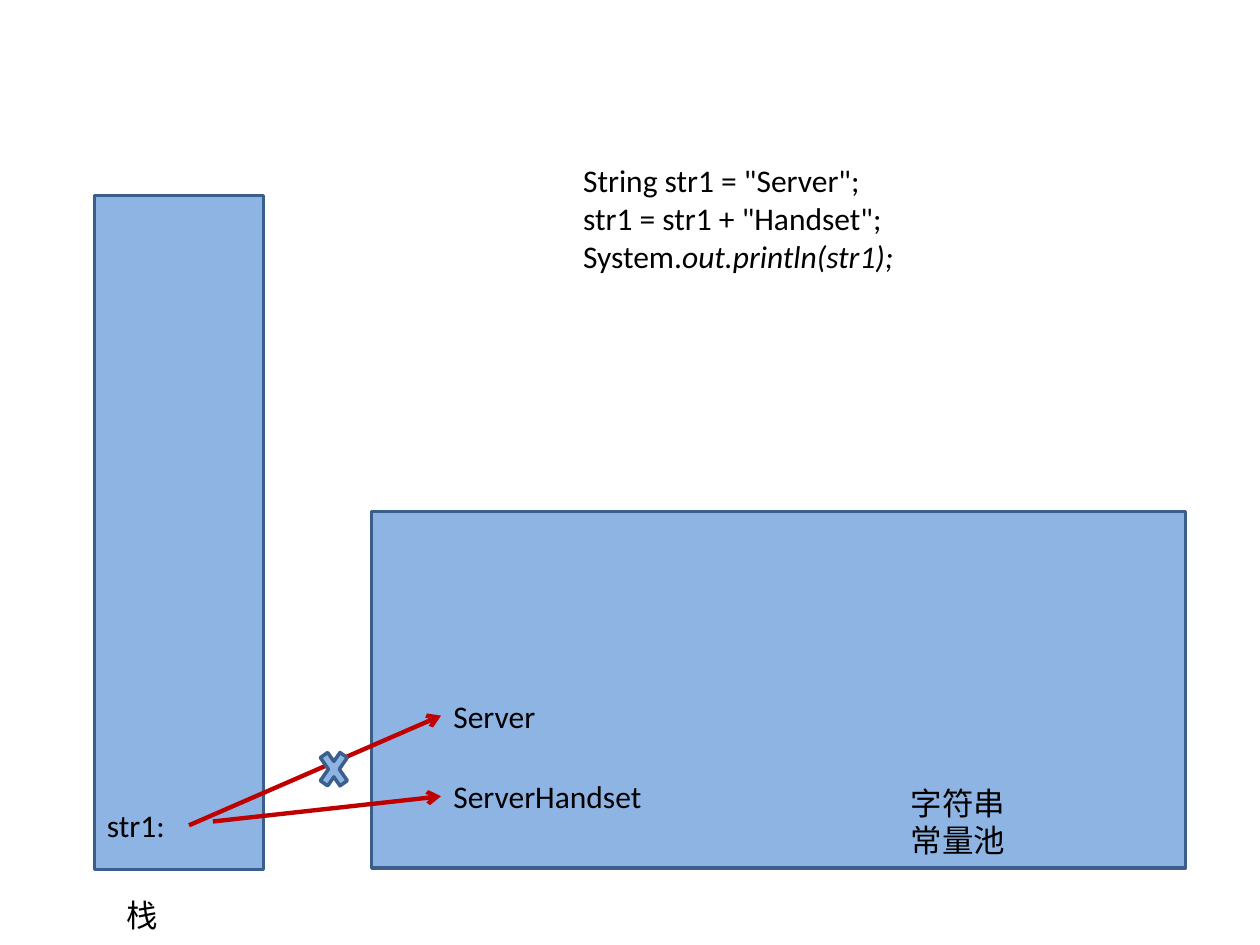
from lxml.etree import SubElement
from pptx import Presentation
from pptx.dml.color import RGBColor
from pptx.enum.shapes import MSO_CONNECTOR as Connector, MSO_SHAPE as Shape
from pptx.enum.text import MSO_AUTO_SIZE as AutoSize
from pptx.oxml.ns import qn
from pptx.util import Inches, Pt

BLACK = RGBColor(0x00, 0x00, 0x00)
WHITE = RGBColor(0xFF, 0xFF, 0xFF)
BLUE = RGBColor(0x8E, 0xB4, 0xE3)
DARK_BLUE = RGBColor(0x3A, 0x5F, 0x8C)
RED = RGBColor(0xC0, 0x00, 0x00)
FONT = {"name": "Calibri", "size": Pt(18)}

# Content: memory areas, labels and references
STACK = (Shape.RECTANGLE, 0.75, 1.55, 1.34, 5.35)
POOL = (Shape.RECTANGLE, 2.95, 4.06, 6.46, 2.83)
CROSS = (Shape.MATH_MULTIPLY, 2.5, 5.89, 0.3, 0.43)

# Each line is a list of (text, italic) runs
CODE = [
    [('String str1 = "Server";', False)],
    [('str1 = str1 + "Handset";', False)],
    [("System.", False), ("out.println(str1);", True)],
]
LABELS = [
    ("栈", 0.91, 7.06, 1.1, 0.4),
    ("字符串常量池", 7.13, 6.17, 1.1, 0.71),
    ("str1:", 0.75, 6.35, 1.5, 0.4),
    ("Server", 3.5, 5.48, 1.1, 0.4),
    ("ServerHandset", 3.5, 6.12, 2.13, 0.4),
]
REFERENCES = [
    (1.5, 6.55, 3.5, 5.68),
    (1.69, 6.52, 3.5, 6.32),
]

prs = Presentation()
prs.slide_width, prs.slide_height = Inches(10), Inches(7.5)
slide = prs.slides.add_slide(prs.slide_layouts[6])
slide.background.fill.solid()
slide.background.fill.fore_color.rgb = WHITE


def add_blue_shape(kind, *box):
    shape = slide.shapes.add_shape(kind, *map(Inches, box))
    shape.shadow.inherit = False
    shape.fill.solid()
    shape.fill.fore_color.rgb = BLUE
    shape.line.color.rgb = DARK_BLUE
    shape.line.width = Pt(2)


def add_text(lines, *box):
    frame = slide.shapes.add_textbox(*map(Inches, box)).text_frame
    frame.word_wrap = True
    frame.auto_size = AutoSize.SHAPE_TO_FIT_TEXT
    for number, line in enumerate(lines):
        paragraph = frame.add_paragraph() if number else frame.paragraphs[0]
        for text, italic in line:
            run = paragraph.add_run()
            run.text = text
            for key, value in FONT.items():
                setattr(run.font, key, value)
            run.font.color.rgb = BLACK
            if italic:
                run.font.italic = True


def add_reference(*ends):
    arrow = slide.shapes.add_connector(Connector.STRAIGHT, *map(Inches, ends))
    arrow.line.color.rgb = RED
    arrow.line.width = Pt(2.5)
    SubElement(arrow.line._get_or_add_ln(), qn("a:tailEnd"), type="arrow")
    SubElement(arrow._element.spPr, qn("a:effectLst"))


# Code sample and memory areas
add_text(CODE, 4.53, 1.23, 5, 1.01)
for area in (STACK, POOL):
    add_blue_shape(*area)

# Names and values inside the areas
for label, *box in LABELS:
    add_text([[(label, False)]], *box)

# Old and new reference, the old one crossed out
for reference in REFERENCES:
    add_reference(*reference)
add_blue_shape(*CROSS)

prs.save("out.pptx")
